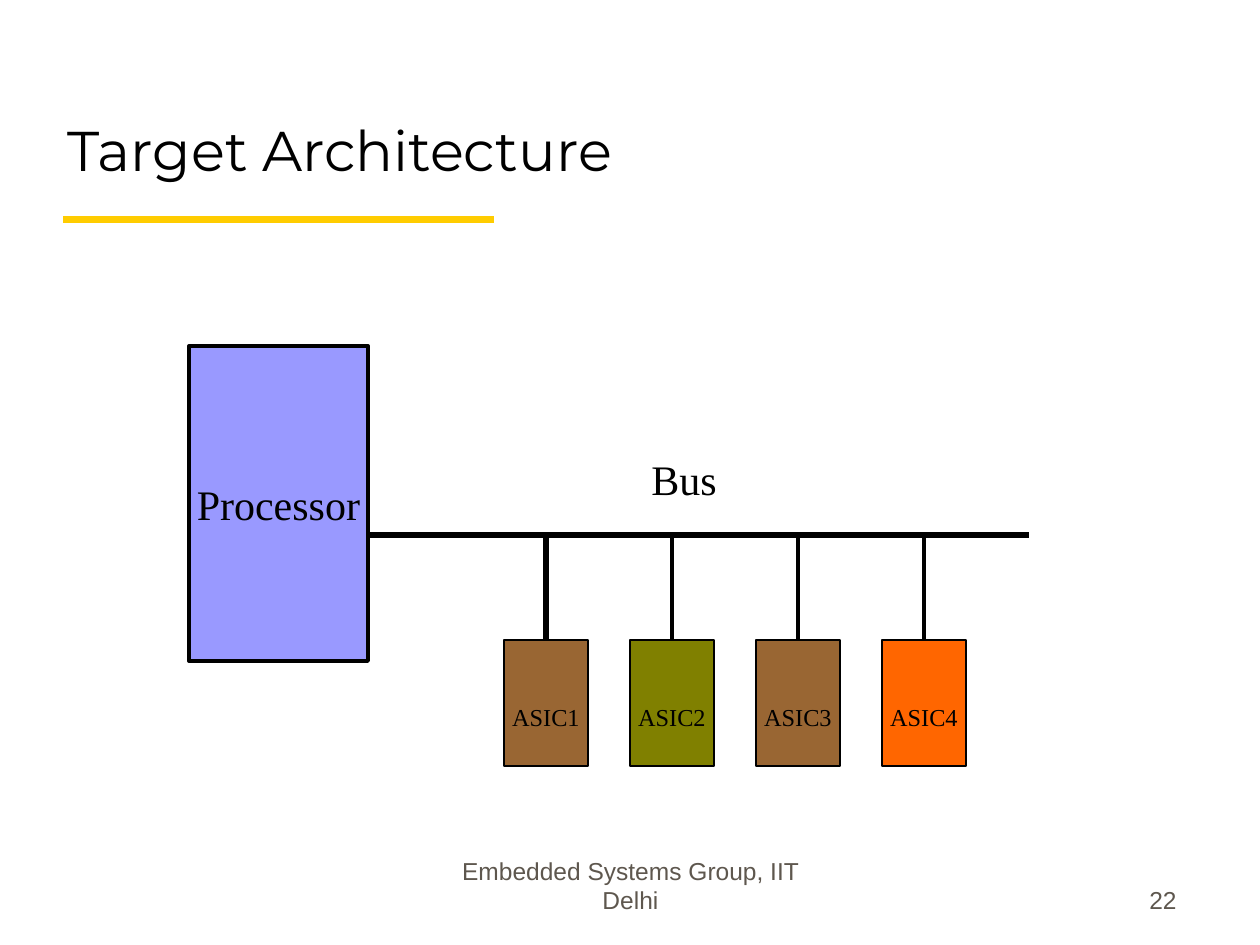
from pptx import Presentation
from pptx.dml.color import RGBColor
from pptx.enum.shapes import MSO_CONNECTOR as Connector, MSO_SHAPE as Preset
from pptx.enum.text import MSO_ANCHOR as Anchor, MSO_AUTO_SIZE as AutoSize, PP_ALIGN as Align
from pptx.oxml.ns import qn
from pptx.util import Pt
from lxml.etree import SubElement

SCALE = 914400 / 126
SLIDE_SIZE = (1260, 945)
BLACK, GREY, YELLOW, BLUE = "000000", "5E574E", "FFCC00", "9999FF"
SERIF = {"name": "Times New Roman", "size": 24, "color": BLACK}
FOOTER = {"name": "Arial", "size": 14, "color": GREY}

TEXTS = [
    ("Target Architecture", (55, 32, 1071, 157),
     {"name": "Montserrat", "size": 32, "color": BLACK},
     {"vertical_anchor": Anchor.BOTTOM, "word_wrap": True}, Align.LEFT),
    ("Bus", (639, 447, 91, 63), SERIF,
     {"word_wrap": False, "auto_size": AutoSize.SHAPE_TO_FIT_TEXT}, Align.LEFT),
    ("Embedded Systems Group, IIT Delhi", (431, 858, 399, 63), FOOTER,
     {"vertical_anchor": Anchor.BOTTOM, "word_wrap": True}, Align.CENTER),
    ("22", (927, 858, 262, 63), FOOTER,
     {"vertical_anchor": Anchor.BOTTOM, "word_wrap": True}, Align.RIGHT),
]
TITLE_RULE = ((63, 220), (494, 220), YELLOW, 4)
PROCESSOR = ("Processor", (189, 346, 179, 315), BLUE, 2.25)
BUS = ((368, 535), (1029, 535), BLACK, 3)
ASICS = [
    ("ASIC1", "996633", 3),
    ("ASIC2", "808000", 2.25),
    ("ASIC3", "996633", 2.25),
    ("ASIC4", "FF6600", 2.25),
]
ASIC_LEFT, ASIC_TOP, ASIC_PITCH, ASIC_WIDTH, ASIC_HEIGHT = 504, 640, 126, 84, 126


def px(values):
    return [round(value * SCALE) for value in values]


def color(value):
    return RGBColor.from_string(value)


def write(shape, text, font, frame_format, align, baseline=None):
    frame = shape.text_frame
    for name, value in frame_format.items():
        setattr(frame, name, value)
    paragraph = frame.paragraphs[0]
    paragraph.alignment = align
    run = paragraph.add_run()
    run.text = text
    run.font.name = font["name"]
    run.font.size = Pt(font["size"])
    run.font.color.rgb = color(font["color"])
    if baseline:
        run._r.get_or_add_rPr().set("baseline", str(baseline))


def add_block(slide, text, box, fill, line_width, baseline=None):
    shape = slide.shapes.add_shape(Preset.RECTANGLE, *px(box))
    shape.shadow.inherit = False
    shape.fill.solid()
    shape.fill.fore_color.rgb = color(fill)
    shape.line.color.rgb = color(BLACK)
    shape.line.width = Pt(line_width)
    write(shape, text, SERIF, {"vertical_anchor": Anchor.MIDDLE, "word_wrap": False},
          Align.CENTER, baseline)
    return shape


def add_line(slide, start, end, line_color, width):
    line = slide.shapes.add_connector(Connector.STRAIGHT, *px(start + end))
    line.line.color.rgb = color(line_color)
    line.line.width = Pt(width)
    SubElement(line._element.spPr, qn("a:effectLst"))
    return line


def main():
    """Build the target architecture slide."""
    presentation = Presentation()
    presentation.slide_width, presentation.slide_height = px(SLIDE_SIZE)
    slide = presentation.slides.add_slide(presentation.slide_layouts[6])

    add_line(slide, *TITLE_RULE)
    add_block(slide, *PROCESSOR)
    add_line(slide, *BUS)
    bus_y = BUS[0][1]
    for index, (name, fill, drop_width) in enumerate(ASICS):
        left = ASIC_LEFT + index * ASIC_PITCH
        center = left + ASIC_WIDTH // 2
        asic = add_block(slide, name, (left, ASIC_TOP, ASIC_WIDTH, ASIC_HEIGHT), fill, 1, -25000)
        drop = add_line(slide, (center, bus_y), (center, ASIC_TOP), BLACK, drop_width)
        drop.end_connect(asic, 0)

    for text, box, font, frame_format, align in TEXTS:
        write(slide.shapes.add_textbox(*px(box)), text, font, frame_format, align)
    presentation.save("out.pptx")


if __name__ == "__main__":
    main()
